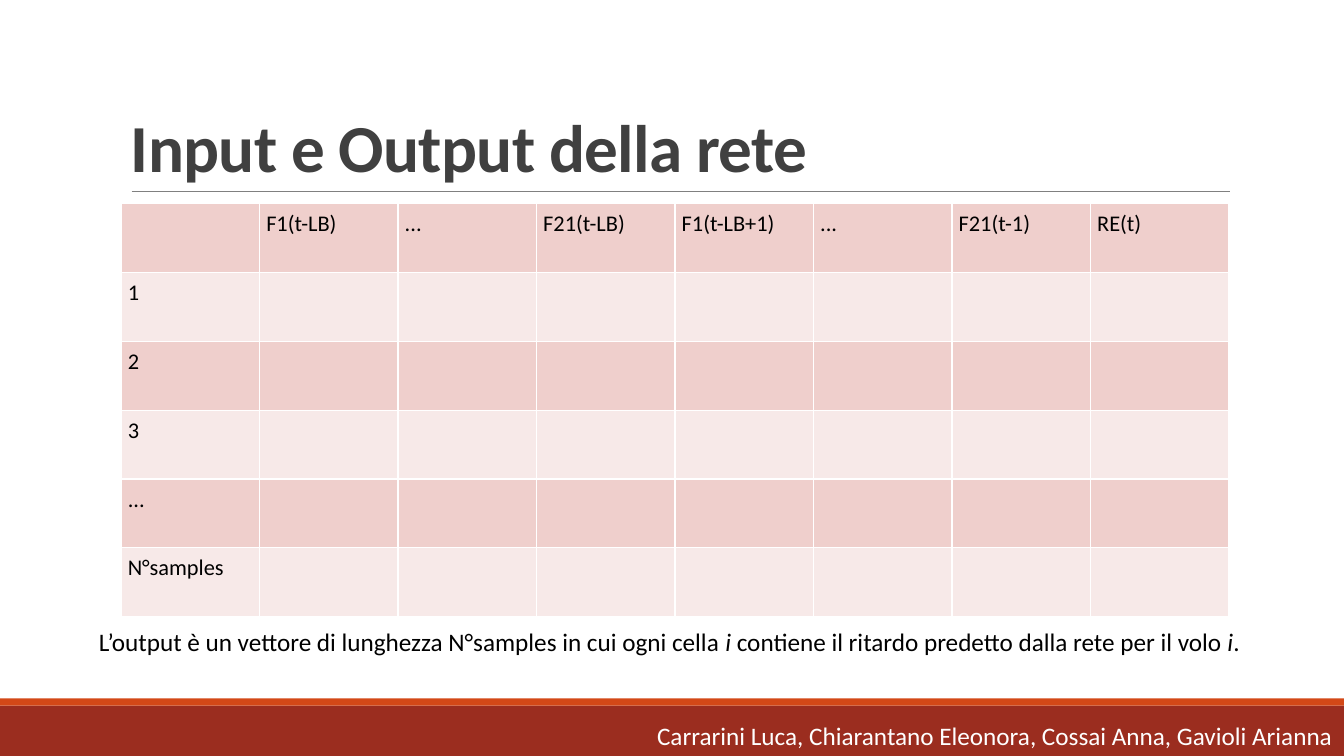
from typing import NamedTuple

from lxml import etree
from pptx import Presentation
from pptx import util as u
from pptx.dml.color import RGBColor
from pptx.enum import shapes, text
from pptx.oxml.ns import qn

BLACK = RGBColor(0x00, 0x00, 0x00)
WHITE = RGBColor(0xFF, 0xFF, 0xFF)
CHARCOAL = RGBColor(0x40, 0x40, 0x40)
GREY = RGBColor(0x80, 0x80, 0x80)
BRICK = RGBColor(0x9B, 0x2D, 0x1F)
ORANGE = RGBColor(0xD3, 0x48, 0x17)
ROW_FILLS = (RGBColor(0xEF, 0xCF, 0xCC), RGBColor(0xF7, 0xE9, 0xE8))

FONT = "Calibri"
SLIDE_WIDTH = u.Cm(33.87)
HEADERS = ("", "F1(t-LB)", "...", "F21(t-LB)", "F1(t-LB+1)", "...", "F21(t-1)", "RE(t)")
SAMPLES = ("1", "2", "3", "...", "N°samples")
COLUMN_WIDTH = u.Cm(3.49)
ROW_HEIGHT = u.Cm(1.735)
CELL_INSET = u.Cm(0.17)


class Band(NamedTuple):
    top: u.Length
    height: u.Length
    color: RGBColor


class Label(NamedTuple):
    left: u.Length
    top: u.Length
    width: u.Length
    height: u.Length
    phrases: tuple[str, ...]  # every second phrase is italic
    size: int = 18
    color: RGBColor = BLACK
    wrap: bool = False


BANDS = (
    Band(u.Cm(17.78), u.Cm(1.27), BRICK),
    Band(u.Cm(17.6), u.Cm(0.18), ORANGE),
)
TITLE = Label(u.Cm(3.05), u.Cm(0.79), u.Cm(27.94), u.Cm(4.04),
              ("Input e Output della rete",), 48, CHARCOAL, True)
CAPTION = Label(
    u.Cm(2.24), u.Cm(15.67), u.Cm(29.79), u.Cm(1.02),
    ("L’output è un vettore di lunghezza N°samples in cui ogni cella ", "i",
     " contiene il ritardo predetto dalla rete per il volo ", "i", "."))
AUTHORS = Label(
    u.Cm(16.31), u.Cm(18.03), u.Cm(17.73), u.Cm(1.02),
    ("Carrarini Luca, Chiarantano Eleonora, Cossai Anna, Gavioli Arianna",),
    color=WHITE)


def style_run(run, size: int, color: RGBColor) -> None:
    run.font.name = FONT
    run.font.size = u.Pt(size)
    run.font.color.rgb = color


def add_band(slide, band: Band) -> None:
    bar = slide.shapes.add_shape(
        shapes.MSO_SHAPE.RECTANGLE, 0, band.top, SLIDE_WIDTH, band.height)
    bar.shadow.inherit = False
    bar.fill.solid()
    bar.fill.fore_color.rgb = band.color
    bar.line.fill.background()


def add_title_rule(slide) -> None:
    rule = slide.shapes.add_connector(
        shapes.MSO_CONNECTOR.STRAIGHT, u.Cm(3.32), u.Cm(4.83), u.Cm(31), u.Cm(4.83))
    rule.line.color.rgb = GREY
    rule.line.width = u.Pt(0.5)
    etree.SubElement(rule._element.spPr, qn("a:effectLst"))


def add_label(slide, label: Label):
    """Add the label and return its text frame."""
    frame = slide.shapes.add_textbox(
        label.left, label.top, label.width, label.height).text_frame
    frame.word_wrap = label.wrap
    for index, phrase in enumerate(label.phrases):
        run = frame.paragraphs[0].add_run()
        run.text = phrase
        style_run(run, label.size, label.color)
        run.font.italic = index % 2 == 1
    return frame


def add_title(slide) -> None:
    frame = add_label(slide, TITLE)
    frame.vertical_anchor = text.MSO_ANCHOR.BOTTOM
    heading = frame.paragraphs[0]
    heading.line_spacing = 0.85
    heading.runs[0].font.bold = True
    heading.runs[0].font._element.set("spc", "-50")


def add_samples_table(slide) -> None:
    rows = [HEADERS] + [(sample,) + ("",) * (len(HEADERS) - 1) for sample in SAMPLES]
    table = slide.shapes.add_table(
        len(rows), len(HEADERS), u.Cm(3.05), u.Cm(5.13),
        COLUMN_WIDTH * len(HEADERS), ROW_HEIGHT * len(rows)).table
    table.first_row = False
    table.horz_banding = False
    for column in table.columns:
        column.width = COLUMN_WIDTH
    for row_index, row in enumerate(rows):
        table.rows[row_index].height = ROW_HEIGHT
        for column_index, entry in enumerate(row):
            cell = table.cell(row_index, column_index)
            cell.fill.solid()
            cell.fill.fore_color.rgb = ROW_FILLS[row_index % 2]
            cell.margin_left = cell.margin_right = CELL_INSET
            cell.margin_top = cell.margin_bottom = CELL_INSET
            if entry:
                cell.text_frame.text = entry
                style_run(cell.text_frame.paragraphs[0].runs[0], 16, BLACK)


def main() -> None:
    deck = Presentation()
    deck.slide_width = SLIDE_WIDTH
    deck.slide_height = u.Cm(19.05)
    slide = deck.slides.add_slide(deck.slide_layouts[6])
    for band in BANDS:
        add_band(slide, band)
    add_title_rule(slide)
    add_title(slide)
    add_samples_table(slide)
    add_label(slide, CAPTION)
    add_label(slide, AUTHORS)
    deck.save("out.pptx")


if __name__ == "__main__":
    main()
